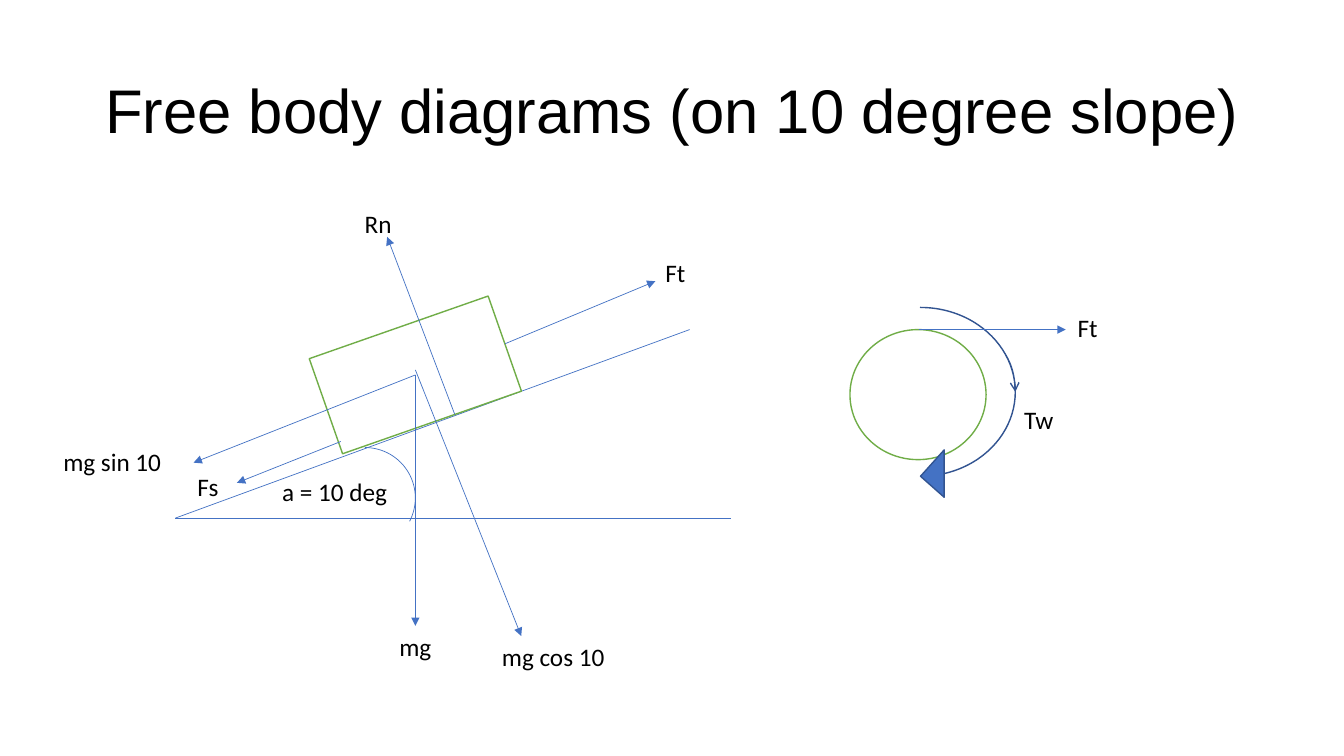
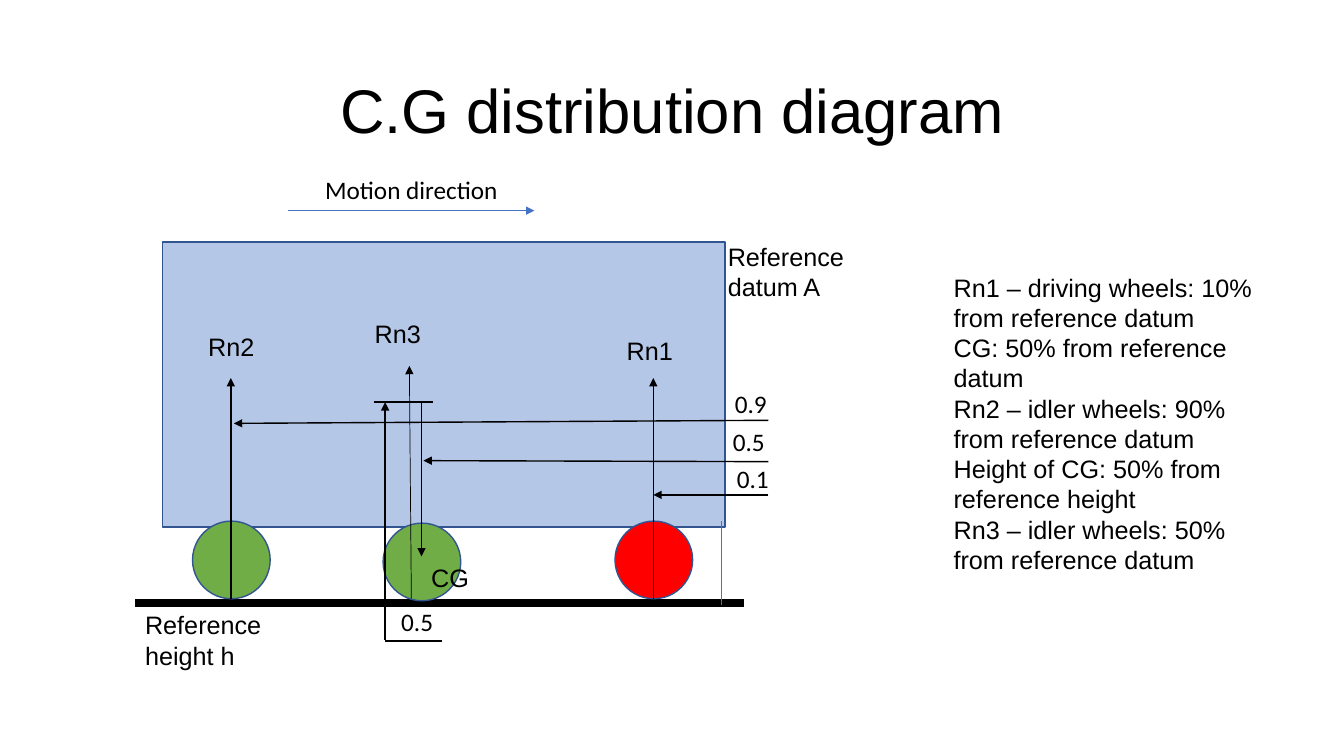
from dataclasses import dataclass

from lxml.etree import SubElement
from pptx import Presentation
from pptx.dml.color import RGBColor as Rgb
from pptx.enum.shapes import MSO_CONNECTOR as Connector, MSO_SHAPE as Preset
from pptx.enum.text import MSO_ANCHOR as Anchor, MSO_AUTO_SIZE as AutoSize, PP_ALIGN as Align
from pptx.oxml.ns import qn
from pptx.util import Inches, Pt


@dataclass(frozen=True)
class Theme:
    black: Rgb = Rgb(0x00, 0x00, 0x00)
    white: Rgb = Rgb(0xFF, 0xFF, 0xFF)
    blue: Rgb = Rgb(0x44, 0x72, 0xC4)
    navy: Rgb = Rgb(0x32, 0x54, 0x91)
    pale_blue: Rgb = Rgb(0xB4, 0xC7, 0xE7)
    green: Rgb = Rgb(0x70, 0xAD, 0x47)
    red: Rgb = Rgb(0xFF, 0x00, 0x00)
    heading_font: str = "Arial"
    label_font: str = "Calibri"
    title_size: int = 44
    text_size: int = 18
    hairline: float = 0.5
    outline: float = 1
    ground: float = 6


theme = Theme()
FORCE = (theme.blue, theme.hairline)
THIN = (theme.black, theme.hairline)
MEASURE = (theme.black, theme.outline)
GROUND = (theme.black, theme.ground)
LABEL, HEADING = theme.label_font, theme.heading_font
LEFT, CENTER = Align.LEFT, Align.CENTER


def add_line(slide, start, end, stroke, arrow=False):
    color, width = stroke
    line = slide.shapes.add_connector(
        Connector.STRAIGHT, *(Inches(value) for value in (*start, *end)))
    line.line.color.rgb = color
    line.line.width = Pt(width)
    properties = line._element.spPr
    if arrow:
        SubElement(properties.find(qn("a:ln")), qn("a:tailEnd"), type="triangle")
    SubElement(properties, qn("a:effectLst"))


def write(para, text, font, size, align):
    para.alignment = align
    span = para.add_run()
    span.text = text
    span.font.name = font
    span.font.size = Pt(size)
    span.font.color.rgb = theme.black


# Slope and wheel forces
slope_foot = (1.74, 5.14)
mass_center = (4.12, 3.72)
slope = {
    "title": "Free body diagrams (on 10 degree slope)",
    "base": [(slope_foot, (7.25, 5.14), FORCE), (slope_foot, (6.84, 3.27), FORCE)],
    # preset, box, rotation, fill, line colour, line width, adjustments, head
    "shapes": [
        (Preset.ARC, (3.12, 4.44, 1, 1), 0, None, *FORCE, (162, 16.61), None),
        (Preset.RECTANGLE, (3.18, 3.22, 1.88, 1), 340.7,
         theme.white, theme.green, theme.outline, (), None),
        (Preset.OVAL, (8.43, 3.27, 1.35, 1.29), 0,
         theme.white, theme.green, theme.outline, (), None),
        (Preset.CURVED_LEFT_ARROW, (9.13, 3.05, 0.94, 1.91), 0,
         theme.blue, theme.navy, theme.outline, (0, 0.5, 0.25), "arrow"),
    ],
    "lines": [
        (mass_center, (4.12, 6.21), FORCE, True),
        (mass_center, (1.92, 4.59), FORCE, True),
        ((4.12, 3.67), (5.17, 6.31), FORCE, True),
        ((5.01, 3.41), (6.5, 2.79), FORCE, True),
        ((4.51, 4.11), (3.84, 2.35), FORCE, True),
        ((3.38, 4.38), (2.35, 4.79), FORCE, True),
        ((9.11, 3.27), (10.57, 3.27), FORCE, True),
    ],
    # paragraphs, box, font, alignment
    "labels": [
        (["a = 10 deg"], (2.7, 4.68, 1.52, 0.71), LABEL, LEFT),
        (["mg"], (3.62, 6.21, 1, 0.71), LABEL, CENTER),
        (["mg cos 10"], (4.88, 6.31, 1.47, 0.4), LABEL, LEFT),
        (["mg sin 10"], (0.53, 4.38, 1.37, 0.4), LABEL, LEFT),
        (["Ft"], (6.5, 2.5, 0.75, 0.4), LABEL, LEFT),
        (["Rn"], (3.38, 2.02, 0.74, 0.4), LABEL, CENTER),
        (["Fs"], (1.86, 4.63, 0.73, 0.4), LABEL, LEFT),
        (["Ft"], (10.59, 3.05, 0.72, 0.4), LABEL, LEFT),
        (["Tw"], (10.06, 3.96, 0.78, 0.4), LABEL, LEFT),
    ],
}

# Vehicle with its wheels and measures
wheels = [(1.91, 5.17, theme.green), (6.1, 5.17, theme.red), (3.8, 5.19, theme.green)]
vehicle = {
    "title": "C.G distribution diagram",
    "base": [((1.34, 5.98), (7.38, 5.98), GROUND)],
    "shapes": [
        (Preset.RECTANGLE, (1.61, 2.4, 5.58, 2.83), 0,
         theme.pale_blue, theme.navy, theme.outline, (), None),
        *((Preset.OVAL, (left, top, 0.77, 0.77), 0,
           color, theme.navy, theme.outline, (), None) for left, top, color in wheels),
    ],
    "lines": [
        ((2.29, 5.94), (2.29, 3.75), MEASURE, True),
        ((6.48, 5.94), (6.48, 3.75), MEASURE, True),
        ((7.62, 4.91), (6.48, 4.91), MEASURE, True),
        ((7.62, 4.58), (4.2, 4.57), MEASURE, True),
        ((7.62, 4.17), (2.32, 4.2), MEASURE, True),
        ((3.82, 6.35), (3.82, 3.99), MEASURE, True),
        ((4.29, 3.99), (3.71, 3.99), MEASURE),
        ((3.82, 6.36), (4.38, 6.36), MEASURE),
        ((2.86, 2.09), (5.3, 2.09), FORCE, True),
        ((7.15, 5.17), (7.15, 6), FORCE),
        ((4.18, 3.99), (4.18, 5.52), MEASURE, True),
        ((4.08, 5.94), (4.06, 3.63), THIN, True),
    ],
    "labels": [
        (["Rn1 – driving wheels: 10% from reference datum",
          "CG: 50% from reference datum",
          "Rn2 – idler wheels: 90% from reference datum",
          "Height of CG: 50% from reference height",
          "Rn3 – idler wheels: 50% from reference datum"],
         (9.36, 2.65, 3.3, 3.13), HEADING, LEFT),
        (["Reference datum A"], (7.12, 2.34, 1.57, 0.71), HEADING, LEFT),
        (["Reference height h"], (1.34, 6, 1.91, 0.71), HEADING, LEFT),
        (["Rn2"], (1.86, 3.24, 0.87, 0.4), HEADING, CENTER),
        (["Rn1"], (6.01, 3.28, 0.87, 0.4), HEADING, CENTER),
        (["Rn3"], (3.51, 3.11, 0.87, 0.4), HEADING, CENTER),
        (["CG"], (4.03, 5.53, 0.87, 0.4), HEADING, CENTER),
        (["0.1"], (7.21, 4.55, 0.69, 0.4), LABEL, LEFT),
        (["0.5"], (7.17, 4.18, 0.77, 0.4), LABEL, LEFT),
        (["0.9"], (7.19, 3.8, 0.77, 0.4), LABEL, LEFT),
        (["0.5"], (3.88, 5.97, 0.72, 0.4), LABEL, LEFT),
        (["Motion direction"], (3.05, 1.68, 2.06, 0.4), LABEL, CENTER),
    ],
}

deck = Presentation()
deck.slide_width, deck.slide_height = Inches(13.33), Inches(7.5)
title_only = deck.slide_layouts[5]

for diagram in (slope, vehicle):
    page = deck.slides.add_slide(title_only)
    title = page.shapes.title
    title.left, title.top = Inches(0.92), Inches(0.4)
    title.width, title.height = Inches(11.5), Inches(1.45)
    title.text_frame.vertical_anchor = Anchor.MIDDLE
    heading = title.text_frame.paragraphs[0]
    heading.line_spacing = 0.9
    write(heading, diagram["title"], HEADING, theme.title_size, CENTER)

    for line in diagram["base"]:
        add_line(page, *line)

    for preset, box, rotation, fill, color, width, adjustments, head in diagram["shapes"]:
        shape = page.shapes.add_shape(preset, *(Inches(value) for value in box))
        shape.shadow.inherit = False
        shape.rotation = rotation
        if fill is None:
            shape.fill.background()
        else:
            shape.fill.solid()
            shape.fill.fore_color.rgb = fill
        shape.line.color.rgb = color
        shape.line.width = Pt(width)
        for index, value in enumerate(adjustments):
            shape.adjustments[index] = value
        if head:
            SubElement(shape._element.spPr.find(qn("a:ln")), qn("a:headEnd"), type=head)

    for line in diagram["lines"]:
        add_line(page, *line)

    for texts, box, font, align in diagram["labels"]:
        frame = page.shapes.add_textbox(*(Inches(value) for value in box)).text_frame
        frame.word_wrap = True
        frame.auto_size = AutoSize.SHAPE_TO_FIT_TEXT
        for index, text in enumerate(texts):
            para = frame.add_paragraph() if index else frame.paragraphs[0]
            write(para, text, font, theme.text_size, align)

deck.save("out.pptx")
